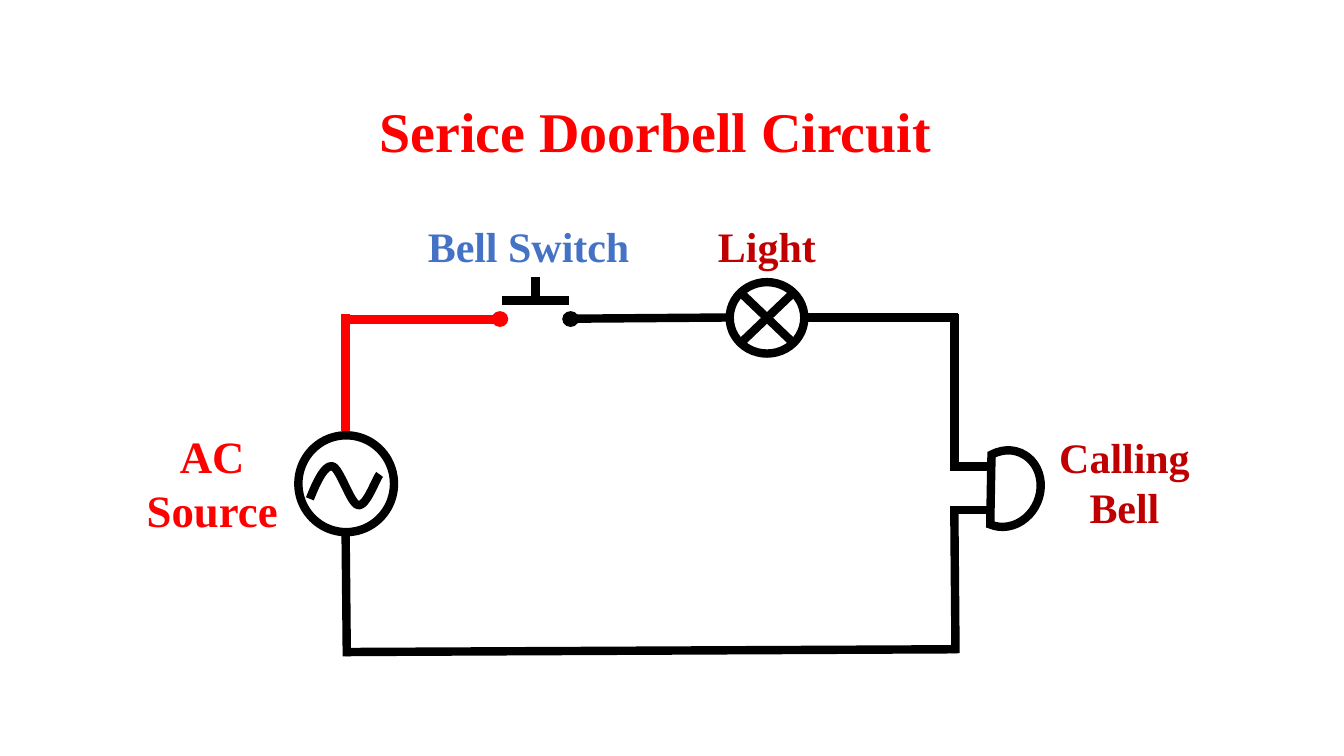
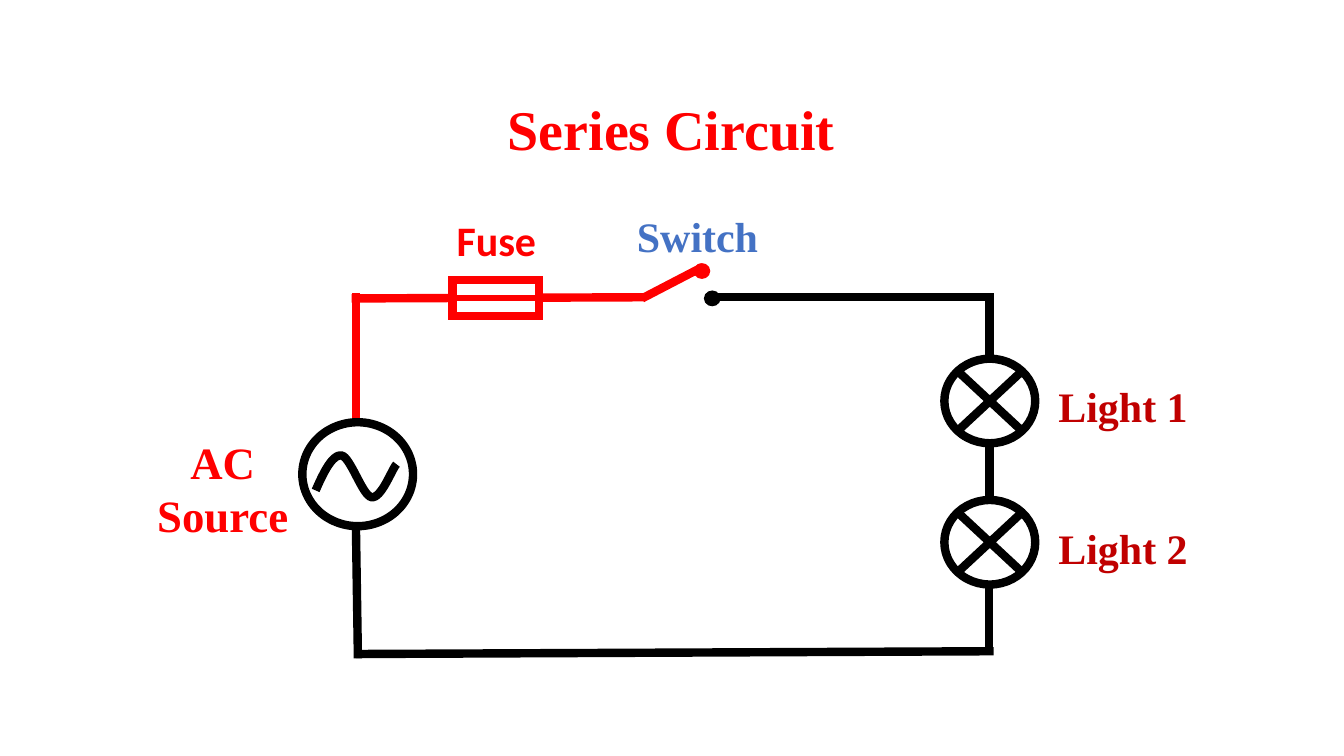
import pptx
import pptx.util
import pptx.dml.color
import pptx.enum.shapes
import pptx.enum.text
import pptx.oxml

Cm, Pt = pptx.util.Cm, pptx.util.Pt
RGBColor = pptx.dml.color.RGBColor
PRESET = pptx.enum.shapes.MSO_SHAPE

BLACK = RGBColor(0x00, 0x00, 0x00)
WHITE = RGBColor(0xFF, 0xFF, 0xFF)
RED = RGBColor(0xFF, 0x00, 0x00)
DARK_RED = RGBColor(0xC0, 0x00, 0x00)
BLUE = RGBColor(0x44, 0x72, 0xC4)

SERIF = "Times New Roman"
STROKE = 6
LABEL_HEIGHT = 1.55
NS = 'xmlns:a="http://schemas.openxmlformats.org/drawingml/2006/main"'

# Control points of one sine period, as fractions of its box
WAVE = [(0, 0.84), (0.1, 0.39), (0.21, -0.03), (0.32, 0), (0.43, 0.03),
        (0.58, 0.97), (0.69, 1), (0.81, 1.05), (0.94, 0.34), (1, 0.21)]


def add_text(slide, text, left, top, width, height, size, color, font=SERIF,
             line_spacing=None):
    box = slide.shapes.add_textbox(Cm(left), Cm(top), Cm(width), Cm(height))
    frame = box.text_frame
    frame.word_wrap = True
    paragraph = frame.paragraphs[0]
    paragraph.alignment = pptx.enum.text.PP_ALIGN.CENTER
    if line_spacing:
        paragraph.line_spacing = line_spacing
    run = paragraph.add_run()
    run.text = text
    run.font.name = font
    run.font.size = Pt(size)
    run.font.bold = True
    run.font.color.rgb = color


def add_title(slide, text, left, top):
    add_text(slide, text, left, top, 22.61, 2.06, 40, RED, line_spacing=0.9)


def add_label(slide, text, left, top, width, color, height=LABEL_HEIGHT,
              font=SERIF):
    add_text(slide, text, left, top, width, height, 30, color, font)


def add_wire(slide, x1, y1, x2, y2, color=BLACK, stroke=STROKE):
    wire = slide.shapes.add_connector(
        pptx.enum.shapes.MSO_CONNECTOR.STRAIGHT, Cm(x1), Cm(y1), Cm(x2), Cm(y2))
    wire.line.color.rgb = color
    wire.line.width = Pt(stroke)
    wire._element.spPr.append(pptx.oxml.parse_xml(f"<a:effectLst {NS}/>"))


def outline(shape, color):
    """Give a thick outline with sharp corners and no shadow."""
    shape.line.color.rgb = color
    shape.line.width = Pt(STROKE)
    shape.line._get_or_add_ln().append(
        pptx.oxml.parse_xml(f'<a:miter {NS} lim="800000"/>'))
    shape.shadow.inherit = False


def add_symbol(slide, preset, left, top, width, height, color=BLACK, fill=WHITE):
    symbol = slide.shapes.add_shape(
        preset, Cm(left), Cm(top), Cm(width), Cm(height))
    symbol.fill.solid()
    symbol.fill.fore_color.rgb = fill
    outline(symbol, color)
    return symbol


def add_contact(slide, x, y, color):
    """Add a round switch contact centred on a point."""
    width, height = 0.2, 0.18
    add_symbol(slide, PRESET.OVAL, x - width / 2, y - height / 2,
               width, height, color, color)


def bezier(start, control1, control2, end, t):
    weights = ((1 - t) ** 3, 3 * t * (1 - t) ** 2, 3 * t * t * (1 - t), t ** 3)
    corners = (start, control1, control2, end)
    return tuple(sum(w * corner[axis] for w, corner in zip(weights, corners))
                 for axis in (0, 1))


def add_ac_source(slide, left, top, width, height):
    add_symbol(slide, PRESET.OVAL, left, top, width, height)
    steps = 16
    curve = [WAVE[0]] + [bezier(*WAVE[i:i + 4], step / steps)
                         for i in range(0, len(WAVE) - 1, 3)
                         for step in range(1, steps + 1)]
    points = [(Cm(left + width * (0.12 + 0.73 * x)),
               Cm(top + height * (0.32 + 0.4 * y))) for x, y in curve]
    builder = slide.shapes.build_freeform(*points[0])
    builder.add_line_segments(points[1:], close=False)
    wave = builder.convert_to_shape()
    wave.fill.background()
    outline(wave, BLACK)


def add_lamp(slide, left, top, width, height):
    add_symbol(slide, PRESET.OVAL, left, top, width, height)
    dx, dy = 0.17 * width, 0.17 * height
    right, bottom = left + width - dx, top + height - dy
    add_wire(slide, left + dx, top + dy, right, bottom)
    add_wire(slide, left + dx, bottom, right, top + dy)


def add_fuse(slide, left, top, width, height):
    add_symbol(slide, PRESET.RECTANGLE, left, top, width, height, RED)
    middle = top + height / 2
    add_wire(slide, left, middle, left + width, middle, RED, 4.5)


def add_push_button(slide):
    add_wire(slide, 12.65, 7.57, 14.33, 7.57)
    add_wire(slide, 13.49, 7.54, 13.49, 6.99)
    add_contact(slide, 12.6, 8.04, RED)
    add_contact(slide, 14.38, 8.04, BLACK)


def add_bell(slide):
    for y in (11.76, 12.85):
        add_wire(slide, 25.02, y, 23.95, y)
    dome = add_symbol(slide, PRESET.CHORD, 24.46, 11.33, 1.75, 1.96)
    dome.rotation = 202.8


def build_doorbell_circuit(slide):
    add_title(slide, "Serice Doorbell Circuit", 5.21, 2.51)
    add_wire(slide, 8.71, 8.05, 12.52, 8.05, RED)
    add_wire(slide, 8.71, 7.92, 8.71, 10.87, RED)
    add_wire(slide, 14.48, 8.03, 18.39, 8)
    add_wire(slide, 20.32, 8, 24.13, 8)
    add_wire(slide, 24.05, 7.92, 24.05, 11.71)
    add_wire(slide, 24.05, 12.88, 24.08, 16.46)
    add_wire(slide, 8.71, 16.43, 24.13, 16.36)
    add_wire(slide, 8.71, 13.49, 8.74, 16.54)
    add_push_button(slide)
    add_ac_source(slide, 7.52, 10.97, 2.41, 2.44)
    add_lamp(slide, 18.39, 7.11, 1.88, 1.8)
    add_bell(slide)
    add_label(slide, "Bell Switch", 10.24, 5.44, 6.17, BLUE)
    add_label(slide, "Light", 17.63, 5.44, 3.4, DARK_RED)
    add_label(slide, "Calling Bell", 26.04, 10.74, 4.6, DARK_RED, 2.82)
    add_text(slide, "AC Source", 3.23, 10.69, 4.24, 3, 32, RED)


def build_series_circuit(slide):
    add_title(slide, "Series Circuit", 5.61, 2.46)
    add_wire(slide, 8.86, 7.52, 16.26, 7.49, RED)
    add_wire(slide, 8.97, 7.39, 8.97, 10.57, RED)
    add_wire(slide, 16.18, 7.52, 17.7, 6.73, RED)
    add_wire(slide, 18.03, 7.49, 25.04, 7.49)
    add_wire(slide, 24.94, 7.42, 24.94, 9.02)
    add_wire(slide, 24.94, 11.2, 24.94, 12.6)
    add_wire(slide, 24.92, 14.76, 24.92, 16.36)
    add_wire(slide, 8.97, 16.48, 25.04, 16.41)
    add_wire(slide, 8.97, 13.31, 9.02, 16.59)
    add_contact(slide, 17.69, 6.83, RED)
    add_contact(slide, 17.95, 7.52, BLACK)
    add_fuse(slide, 11.4, 7.06, 2.18, 0.91)
    add_ac_source(slide, 7.62, 10.64, 2.79, 2.62)
    for index, name in enumerate(("Light 1", "Light 2")):
        drop = 3.56 * index
        add_lamp(slide, 23.8, 9.04 + drop, 2.29, 2.13)
        add_label(slide, name, 26.21, 9.47 + drop, 4.19, DARK_RED)
    add_label(slide, "Switch", 15.47, 5.18, 4.22, BLUE)
    add_label(slide, "Fuse", 11.1, 5.28, 2.82, RED, font="Calibri")
    add_text(slide, "AC Source", 3.48, 10.82, 4.27, 3, 32, RED)


def main():
    deck = pptx.Presentation()
    deck.slide_width, deck.slide_height = Cm(33.87), Cm(19.05)
    blank = deck.slide_layouts[6]
    for build in (build_doorbell_circuit, build_series_circuit):
        build(deck.slides.add_slide(blank))
    deck.save("out.pptx")


if __name__ == "__main__":
    main()
